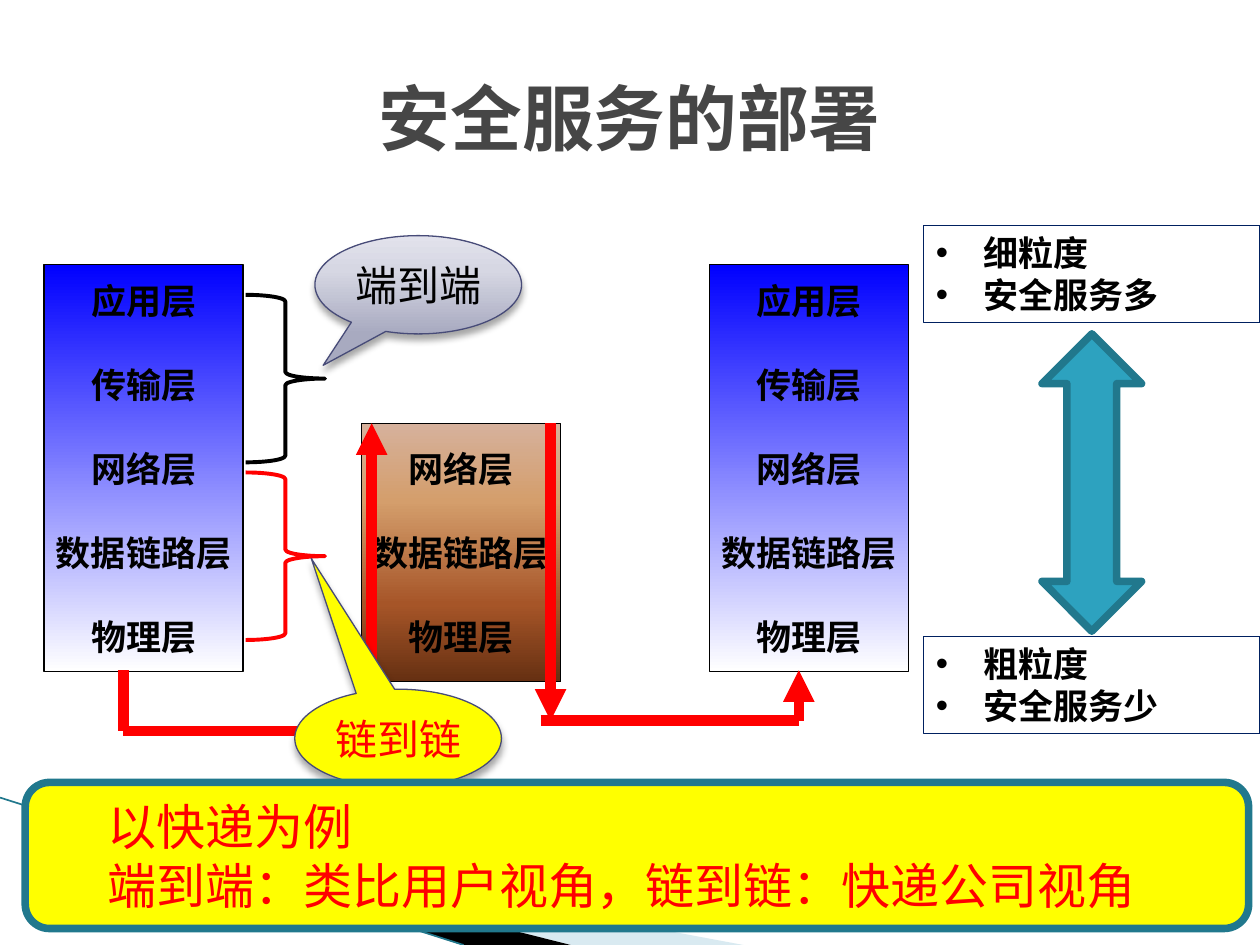
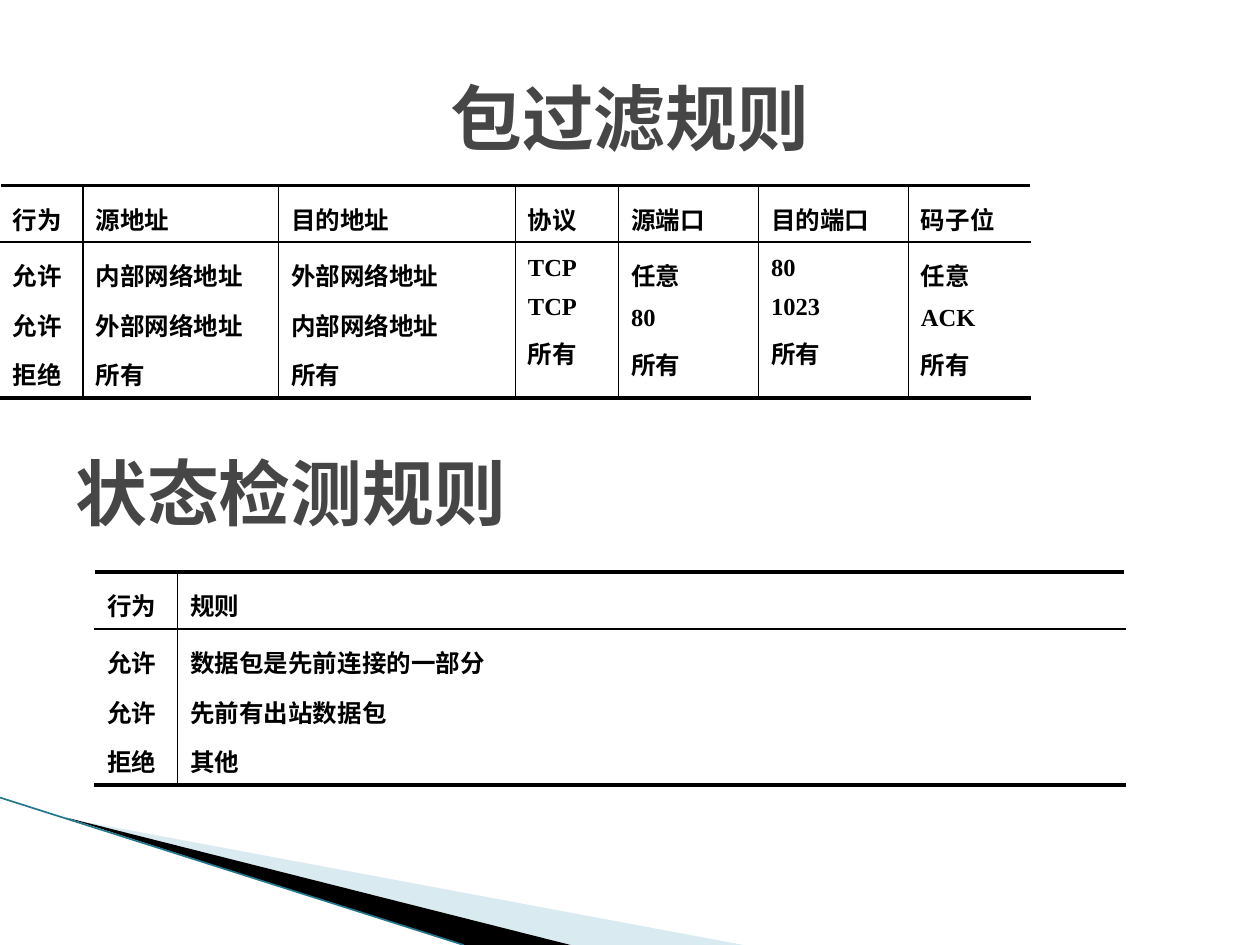
from dataclasses import dataclass
from typing import Optional, Sequence

from lxml.etree import SubElement
from pptx import Presentation
from pptx.dml.color import RGBColor
from pptx.enum.shapes import MSO_CONNECTOR, MSO_SHAPE as Preset
from pptx.enum.text import MSO_ANCHOR as Anchor, MSO_AUTO_SIZE as AutoSize, PP_ALIGN as Align
from pptx.oxml.ns import qn
from pptx.util import Inches, Pt

BLACK, WHITE, RED, YELLOW = "000000", "FFFFFF", "FF0000", "FFFF00"
TEAL, DARK_TEAL, NAVY, SLATE, TITLE_GREY = "2DA2BF", "21788D", "002060", "474B78", "464646"
TITLE_FONT, LAYER_FONT, NOTE_FONT, TABLE_FONT = "Noto Sans Mono", "Comic Neue", "Cabin", "Times New Roman"

Point = tuple[float, float]
Area = tuple[float, float, float, float]


@dataclass
class Gradient:
    stops: Sequence[tuple[int, str]]
    angle: int = 90


@dataclass
class Stack:
    area: Area
    layers: Sequence[str]
    fill: Gradient


@dataclass
class Callout:
    brace_top: float
    brace_color: str
    area: Area
    tip: Point
    fill: Gradient | str
    text: str
    text_color: str


@dataclass
class Stroke:
    start: Point
    end: Point
    arrow: bool = False


@dataclass
class RuleTable:
    left: float
    top: float
    widths: Sequence[float]
    columns: Sequence[tuple[str, Sequence[str]]]


BLUE_FADE = Gradient([(0, "0000FF"), (100, WHITE)])
BROWN_FADE = Gradient([(0, "D6B19C"), (30, "D49E6C"), (70, "A65528"), (100, "663012")])
GREY_FADE = Gradient([(0, "A8AAC0"), (65, "D6D7E3"), (100, "E2E2EC")], 270)

LAYERS = ["应用层", "传输层", "网络层", "数据链路层", "物理层"]
STACKS = [
    Stack((0.35, 2.1, 1.58, 3.23), LAYERS, BLUE_FADE),
    Stack((5.63, 2.1, 1.58, 3.23), LAYERS, BLUE_FADE),
    Stack((2.87, 3.36, 1.58, 2.05), LAYERS[2:], BROWN_FADE),
]
ROUTE = [
    Stroke((0.98, 5.32), (0.98, 5.8)),
    Stroke((0.98, 5.8), (3.03, 5.8)),
    Stroke((2.95, 5.8), (2.95, 3.36), True),
    Stroke((4.37, 3.36), (4.37, 5.72), True),
    Stroke((4.29, 5.72), (6.34, 5.72)),
    Stroke((6.34, 5.72), (6.34, 5.32), True),
]
CALLOUTS = [
    Callout(2.34, BLACK, (2.5, 1.87, 1.64, 0.78), (-0.46, 0.82), GREY_FADE, "端到端", BLACK),
    Callout(3.75, RED, (2.34, 5.47, 1.64, 0.78), (-0.42, -1.83), YELLOW, "链到链", RED),
]
NOTES = [(1.79, ["细粒度", "安全服务多"]), (5.05, ["粗粒度", "安全服务少"])]

ACTIONS = ("行为", ["允许", "允许", "拒绝"])
PACKET_RULES = RuleTable(0, 1.47, [0.66, 1.55, 1.88, 0.82, 1.11, 1.19, 0.97], [
    ACTIONS,
    ("源地址", ["内部网络地址", "外部网络地址", "所有"]),
    ("目的地址", ["外部网络地址", "内部网络地址", "所有"]),
    ("协议", ["TCP", "TCP", "所有"]),
    ("源端口", ["任意", "80", "所有"]),
    ("目的端口", ["80", "1023", "所有"]),
    ("码子位", ["任意", "ACK", "所有"]),
])
STATE_RULES = RuleTable(0.75, 4.54, [0.66, 7.52], [
    ACTIONS,
    ("规则", ["数据包是先前连接的一部分", "先前有出站数据包", "其他"]),
])
ROW_HEIGHTS = [0.45, 1.24]


def rgb(color: str) -> RGBColor:
    return RGBColor.from_string(color)


def write(frame, lines: Sequence[str], *, size: float, font: str, color: str = BLACK,
          bold: bool = False, align=Align.LEFT, anchor=Anchor.MIDDLE, wrap: bool = True,
          spacing=None, gap: float = 0, indent: float = 0, bullet: str = "",
          margin: Optional[float] = None) -> None:
    """Fill a text frame, one paragraph a line; gap is the space between paragraphs."""
    frame.word_wrap = wrap
    frame.vertical_anchor = anchor
    if margin is not None:
        frame.margin_left = frame.margin_right = Inches(margin)
        frame.margin_top = frame.margin_bottom = Inches(margin)
    for index, line in enumerate(lines):
        para = frame.add_paragraph() if index else frame.paragraphs[0]
        para.alignment = align
        if spacing:
            para.line_spacing = spacing
        if index and gap:
            para.space_before = Pt(gap)
        if indent:
            properties = para._p.get_or_add_pPr()
            properties.set("marL", str(Inches(indent)))
            properties.set("indent", str(-Inches(indent) if bullet else 0))
            if bullet:
                SubElement(properties, qn("a:buFont"), typeface="Arial")
                SubElement(properties, qn("a:buChar"), char=bullet)
        span = para.add_run()
        span.text = line
        span.font.size, span.font.name, span.font.bold = Pt(size), font, bold
        span.font.color.rgb = rgb(color)


def paint(shape, fill: Gradient | str | None, line: Optional[str], width: float = 0.75) -> None:
    shape.shadow.inherit = False
    if isinstance(fill, Gradient):
        shape.fill.gradient()
        shape.fill.gradient_angle = 0
        gradient = shape._element.spPr.find(qn("a:gradFill"))
        gradient.find(qn("a:lin")).set("ang", str(fill.angle * 60000))
        stops = gradient.find(qn("a:gsLst"))
        for stop in list(stops):
            stops.remove(stop)
        for position, color in fill.stops:
            stop = SubElement(stops, qn("a:gs"), pos=str(position * 1000))
            SubElement(stop, qn("a:srgbClr"), val=color)
    elif fill:
        shape.fill.solid()
        shape.fill.fore_color.rgb = rgb(fill)
    else:
        shape.fill.background()
    if line:
        shape.line.color.rgb = rgb(line)
        shape.line.width = Pt(width)
    else:
        shape.line.fill.background()


def add_preset(page, preset, area: Area, fill, line: str, width: float = 0.75):
    shape = page.shapes.add_shape(preset, *map(Inches, area))
    paint(shape, fill, line, width)
    return shape


def add_drop_shadow(shape) -> None:
    effects = shape._element.spPr.find(qn("a:effectLst"))
    shadow = SubElement(effects, qn("a:outerShdw"), blurRad=str(Pt(4)), dist=str(Pt(3)),
                        dir="5400000", rotWithShape="0")
    color = SubElement(shadow, qn("a:srgbClr"), val=BLACK)
    SubElement(color, qn("a:alpha"), val="35000")


def add_stroke(page, stroke: Stroke, color: str, width: float) -> None:
    line = page.shapes.add_connector(MSO_CONNECTOR.STRAIGHT, *map(Inches, stroke.start + stroke.end))
    line.line.color.rgb = rgb(color)
    line.line.width = Pt(width)
    if stroke.arrow:
        SubElement(line.line._get_or_add_ln(), qn("a:tailEnd"), type="triangle")
    SubElement(line._element.spPr, qn("a:effectLst"))


def add_wedge(page, area: Area, points: Sequence[Point], color: str, opacity: int = 100) -> None:
    """Draw an outline at slide positions inside a frame that need not enclose it."""
    corners = [(Inches(x), Inches(y)) for x, y in points]
    builder = page.shapes.build_freeform(*corners[0])
    builder.add_line_segments(corners[1:])
    wedge = builder.convert_to_shape()
    paint(wedge, color, None)
    left, top, width, height = map(Inches, area)
    outline = next(wedge._element.iter(qn("a:path")))
    outline.set("w", str(width))
    outline.set("h", str(height))
    for corner, (x, y) in zip(outline.iter(qn("a:pt")), corners + corners[:1]):
        corner.set("x", str(x - left))
        corner.set("y", str(y - top))
    wedge.left, wedge.top, wedge.width, wedge.height = left, top, width, height
    if opacity < 100:
        fill_color = wedge._element.spPr.find(qn("a:solidFill"))[0]
        SubElement(fill_color, qn("a:alpha"), val=str(opacity * 1000))


def add_heading(page, text: str, top: float, align) -> None:
    box = page.shapes.add_textbox(*map(Inches, (0.5, top, 9, 1.25)))
    write(box.text_frame, [text], size=41, font=TITLE_FONT, color=TITLE_GREY, bold=True, align=align)


def add_page(deck, title: str):
    """Add a blank slide with the corner wedges and its title."""
    page = deck.slides.add_slide(deck.slide_layouts[6])
    add_wedge(page, (0.78, 5.47, 4.16, 1.58), [(0.55, 6.5), (5.9, 7.5), (4.53, 7.5)], "A0CBDC", 40)
    add_wedge(page, (-0.06, 6.33, 4.16, 0.92), [(0.53, 6.49), (4.53, 7.5), (3.67, 7.5)], BLACK)
    add_stroke(page, Stroke((0, 6.33), (3.68, 7.5)), DARK_TEAL, 0.95)
    add_heading(page, title, 0.3, Align.CENTER)
    return page


def add_stack(page, stack: Stack) -> None:
    shape = add_preset(page, Preset.RECTANGLE, stack.area, stack.fill, BLACK)
    write(shape.text_frame, stack.layers, size=20, font=LAYER_FONT, bold=True,
          align=Align.CENTER, wrap=False, spacing=Pt(24), gap=24)


def add_callout(page, callout: Callout) -> None:
    """Draw a brace and the balloon that names it."""
    add_preset(page, Preset.RIGHT_BRACE, (1.95, callout.brace_top, 0.63, 1.33), None,
               callout.brace_color, 2.25)
    balloon = add_preset(page, Preset.OVAL_CALLOUT, callout.area, callout.fill, SLATE)
    balloon.adjustments[0], balloon.adjustments[1] = callout.tip
    add_drop_shadow(balloon)
    write(balloon.text_frame, [callout.text], size=24, font=TITLE_FONT,
          color=callout.text_color, align=Align.CENTER, margin=0)


def set_borders(cell, **sides: tuple[str, float]) -> None:
    """Set cell borders, given as L, R, T, B in that order, each a colour and a width."""
    properties = cell._tc.get_or_add_tcPr()
    for index, (side, (color, width)) in enumerate(sides.items()):
        line = SubElement(properties, qn(f"a:ln{side}"), w=str(Pt(width)))
        SubElement(SubElement(line, qn("a:solidFill")), qn("a:srgbClr"), val=color)
        properties.insert(index, line)


def add_rule_table(page, rules: RuleTable) -> None:
    count = len(rules.columns)
    size = (rules.left, rules.top, sum(rules.widths), sum(ROW_HEIGHTS))
    table = page.shapes.add_table(2, count, *map(Inches, size)).table
    table.first_row = table.horz_banding = False
    for row, height in zip(table.rows, ROW_HEIGHTS):
        row.height = Inches(height)
    for index, (width, (header, values)) in enumerate(zip(rules.widths, rules.columns)):
        table.columns[index].width = Inches(width)
        left = WHITE if index == 0 else BLACK
        right = WHITE if index == count - 1 else BLACK
        for row, lines in enumerate([[header], values]):
            cell = table.cell(row, index)
            cell.fill.background()
            write(cell.text_frame, lines, size=14, font=TABLE_FONT, bold=True,
                  anchor=Anchor.TOP, spacing=1.25, gap=2.8)
            set_borders(cell, L=(left, 1), R=(right, 1),
                        T=(BLACK, 1 if row else 2.25), B=(BLACK, 2.25 if row else 1))


def build_deployment(deck) -> None:
    page = add_page(deck, "安全服务的部署")
    for stack in STACKS:
        add_stack(page, stack)
    for stroke in ROUTE:
        add_stroke(page, stroke, RED, 6)
    for callout in CALLOUTS:
        add_callout(page, callout)
    add_preset(page, Preset.UP_DOWN_ARROW, (8.27, 2.65, 0.79, 2.36), TEAL, DARK_TEAL, 4.33)
    for top, lines in NOTES:
        note = add_preset(page, Preset.RECTANGLE, (7.33, top, 2.67, 0.77), None, NAVY)
        write(note.text_frame, lines, size=20, font=NOTE_FONT, bold=True, anchor=Anchor.TOP,
              spacing=Pt(24), indent=0.38, bullet="•")
        note.text_frame.auto_size = AutoSize.SHAPE_TO_FIT_TEXT
    banner = add_preset(page, Preset.ROUNDED_RECTANGLE, (0.2, 6.21, 9.71, 1.16), YELLOW, DARK_TEAL, 4.33)
    write(banner.text_frame, ["以快递为例", "端到端：类比用户视角，链到链：快递公司视角"],
          size=28, font=TITLE_FONT, color=RED, spacing=Pt(33.6), indent=0.5)


def build_rules(deck) -> None:
    page = add_page(deck, "包过滤规则")
    add_rule_table(page, PACKET_RULES)
    add_heading(page, "状态检测规则", 3.28, Align.LEFT)
    add_rule_table(page, STATE_RULES)


def main() -> None:
    deck = Presentation()
    deck.slide_width, deck.slide_height = Inches(10), Inches(7.5)
    build_deployment(deck)
    build_rules(deck)
    deck.save("out.pptx")


if __name__ == "__main__":
    main()
